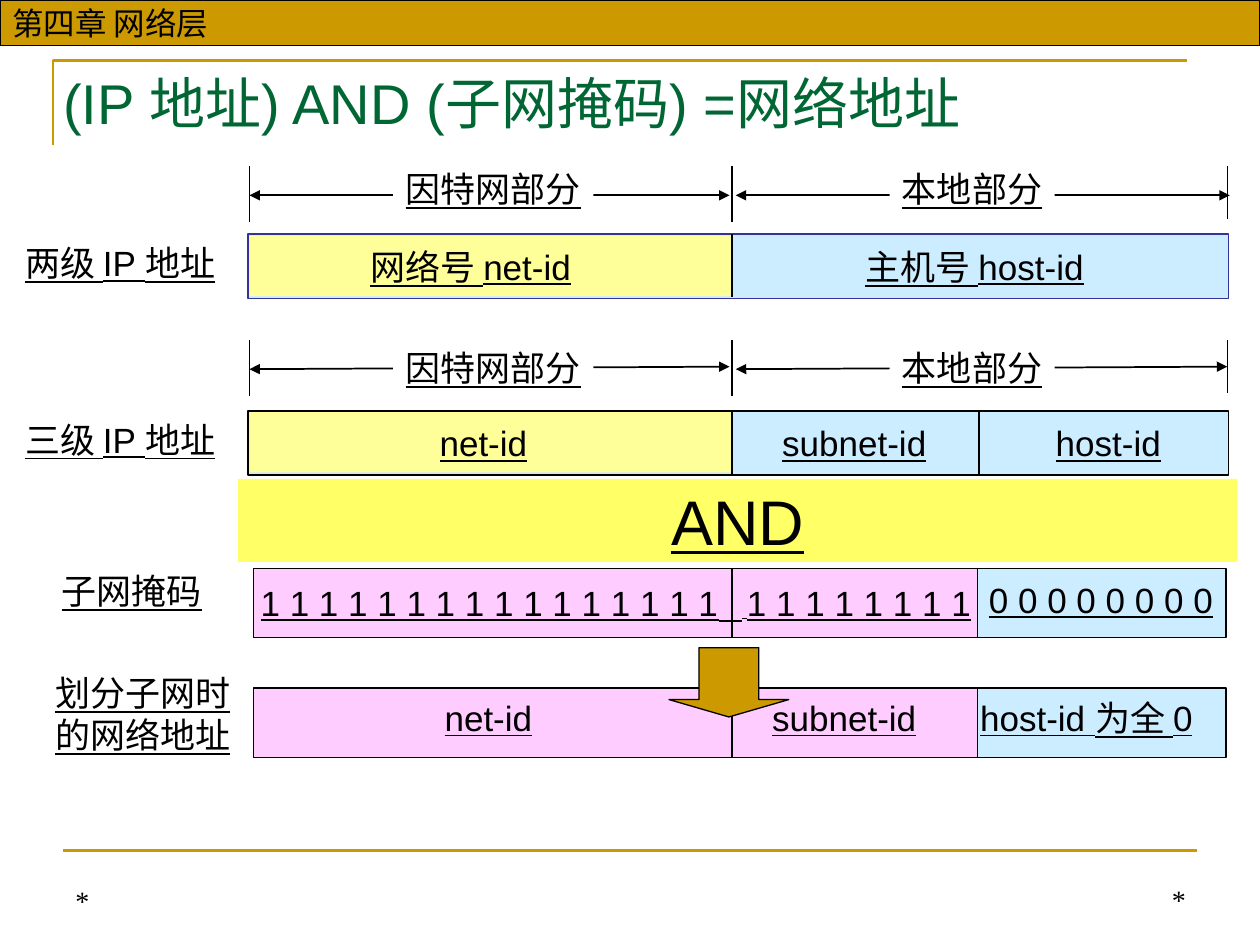
from lxml.etree import SubElement
from pptx import Presentation
from pptx.dml.color import RGBColor
from pptx.enum.shapes import MSO_CONNECTOR, MSO_SHAPE
from pptx.enum.text import MSO_ANCHOR as ANCHOR, MSO_AUTO_SIZE as AUTO, PP_ALIGN as ALIGN
from pptx.oxml.ns import qn
from pptx.util import Pt

PX = 9144  # EMU per px, 100 px to the inch
BLACK, WHITE, GOLD, GREEN, NAVY = "000000", "FFFFFF", "CC9900", "006633", "333399"
BLUE, YELLOW, BRIGHT, PINK = "CCECFF", "FFFF99", "FFFF66", "FFCCFF"
LEFT, SPLIT, HOST, RIGHT = 198, 581, 777, 974  # field boundaries


def emu(*lengths):
    return [n * PX for n in lengths]


def rgb(color):
    return RGBColor.from_string(color)


def format_run(r, size, color=BLACK, font="Arial", underline=None):
    r.font.size, r.font.name, r.font.underline = Pt(size), font, underline
    r.font.color.rgb = rgb(color)


def set_text(sp, text, size=20, font="Arial", underline=True, align=ALIGN.LEFT,
             anchor=ANCHOR.TOP, wrap=False):
    tf = sp.text_frame
    tf.text = text
    tf.word_wrap, tf.vertical_anchor = wrap, anchor
    for p in tf.paragraphs:
        p.alignment = align
        for r in p.runs:
            format_run(r, size, font=font, underline=underline)


def add_box(slide, x, y, w, h, fill, line=None, width=0.75, kind=MSO_SHAPE.RECTANGLE):
    sp = slide.shapes.add_shape(kind, *emu(x, y, w, h))
    sp.shadow.inherit = False
    sp.fill.solid()
    sp.fill.fore_color.rgb = rgb(fill)
    if line:
        sp.line.color.rgb = rgb(line)
        sp.line.width = Pt(width)
    else:
        sp.line.fill.background()
    return sp


def add_label(slide, x, y, w, text, h=43, grow=True, **style):
    sp = slide.shapes.add_textbox(*emu(x, y, w, h))
    set_text(sp, text, **style)
    sp.text_frame.auto_size = AUTO.SHAPE_TO_FIT_TEXT if grow else AUTO.NONE
    return sp


def add_line(slide, x1, y1, x2, y2, width=1, color=BLACK, arrows=False):
    line = slide.shapes.add_connector(MSO_CONNECTOR.STRAIGHT, *emu(x1, y1, x2, y2))
    line.line.color.rgb = rgb(color)
    line.line.width = Pt(width)
    if arrows:
        for end in ("a:headEnd", "a:tailEnd"):
            SubElement(line.line._get_or_add_ln(), qn(end), type="triangle")
    SubElement(line._element.spPr, qn("a:effectLst"))


def slide_frame(slide):
    # Corner rule, footer rule and chapter banner
    corner = slide.shapes.build_freeform(42, 115, scale=PX)
    corner.add_line_segments([(42, 48), (942, 48)], close=False)
    sp = corner.convert_to_shape()
    sp.shadow.inherit = False
    sp.fill.background()
    sp.line.color.rgb = rgb(GOLD)
    sp.line.width = Pt(1.5)
    add_line(slide, 50, 675, 950, 675, 1.5, GOLD)
    banner = add_box(slide, 0, 0, 1000, 36, GOLD, BLACK)
    set_text(banner, "第四章 网络层", 18, underline=None, anchor=ANCHOR.MIDDLE)
    # Footer marks
    for x, y, w, align in ((50, 683, 233, ALIGN.LEFT), (634, 682, 317, ALIGN.RIGHT)):
        add_label(slide, x, y, w, "*", h=50, grow=False, size=16, font="Times New Roman",
                  underline=None, align=align, anchor=ANCHOR.BOTTOM, wrap=True)


def slide_title(slide, x, y, w, h, text):
    sp = slide.shapes.title
    sp.left, sp.top, sp.width, sp.height = emu(x, y, w, h)
    tf = sp.text_frame
    tf.text = text
    tf.auto_size, tf.vertical_anchor = AUTO.NONE, ANCHOR.TOP
    tf.margin_left = tf.margin_top = tf.margin_right = tf.margin_bottom = 0
    p = tf.paragraphs[0]
    p.alignment = ALIGN.LEFT
    format_run(p.runs[0], 32, GREEN)


def dimension_row(slide, y, label_y, rise, end):
    """Two dimension arrows between tick marks, with their labels."""
    parts = ((LEFT, 579, 312, 159, "因特网部分"), (584, end, 706, 131, "本地部分"))
    for x1, x2, label_x, w, text in parts:
        add_line(slide, x1, y + 23, x2, y + 23 - rise, arrows=True)
        set_text(add_box(slide, label_x, label_y, w, 43, WHITE), text)
    for x in (LEFT, SPLIT, RIGHT):
        add_line(slide, x, y, x, y + (42 if x == RIGHT else 44), 0.75)


def address_row(slide, y, name, outline, fields, dividers):
    """Address bar: yellow network part on a blue bar."""
    add_box(slide, LEFT - 1, y, 778, 51, BLUE, outline, 1)
    add_box(slide, LEFT, y + 1, 382, 48, YELLOW)
    add_label(slide, 10, y + 1, 192, name)
    for x in dividers:
        add_line(slide, x, y, x, y + 50)
    for x, w, text in fields:
        add_label(slide, x, y + 4, w, text)


def mask_bar(slide, y):
    """Pink network and subnet part, blue host part."""
    add_box(slide, HOST - 1, y, 197, 55, BLUE, BLACK)
    add_box(slide, 201, y, 575, 55, PINK, BLACK)
    add_line(slide, SPLIT, y, SPLIT, y + 55)


def mask_row(slide, y):
    mask_bar(slide, y)
    add_label(slide, 39, y - 4, 131, "子网掩码")
    sp = add_label(slide, 197, y, 584, " ".join("1" * 16), h=50)
    for text, size in (("  ", 24), (" ", 10), (" ".join("1" * 8), 20)):
        r = sp.text_frame.paragraphs[0].add_run()
        r.text = text
        format_run(r, size, underline=True)
    add_label(slide, 775, y + 3, 198, " ".join("0" * 8))


def result_row(slide, y):
    mask_bar(slide, y)
    add_label(slide, 34, y - 18, 159, "划分子网时\n的网络地址", h=76)
    for x, w, text in ((343, 91, "net-id"), (603, 136, "subnet-id"),
                       (768, 209, "host-id 为全 0")):
        add_label(slide, x, y + 2, w, text)


def and_band(slide, x, y, w, h):
    band = add_box(slide, x, y, w, h, BRIGHT)
    set_text(band, "AND", 36, align=ALIGN.CENTER, anchor=ANCHOR.MIDDLE)


def result_arrow(slide, x, y, w, h):
    sp = add_box(slide, x, y, w, h, GOLD, BLACK, kind=MSO_SHAPE.DOWN_ARROW)
    sp.adjustments[0], sp.adjustments[1] = 0.5, 0.25


def main():
    prs = Presentation()
    prs.slide_width, prs.slide_height = emu(1000, 750)
    slide = prs.slides.add_slide(prs.slide_layouts[5])
    slide_frame(slide)
    slide_title(slide, 50, 54, 900, 77, "(IP 地址) AND (子网掩码) =网络地址")
    # Two-level address
    dimension_row(slide, 132, 128, 0, 976)
    address_row(slide, 186, "两级 IP 地址", NAVY,
                ((284, 194, "网络号 net-id"), (677, 207, "主机号 host-id")), (SPLIT,))
    # Three-level address
    dimension_row(slide, 270, 270, 2, RIGHT)
    address_row(slide, 326, "三级 IP 地址", BLACK,
                ((339, 91, "net-id"), (611, 136, "subnet-id"), (828, 105, "host-id")),
                (SPLIT, HOST))
    # Mask and result
    mask_row(slide, 451)
    result_row(slide, 546)
    and_band(slide, 189, 380, 793, 66)
    result_arrow(slide, 531, 514, 95, 55)
    prs.save("out.pptx")


if __name__ == "__main__":
    main()
